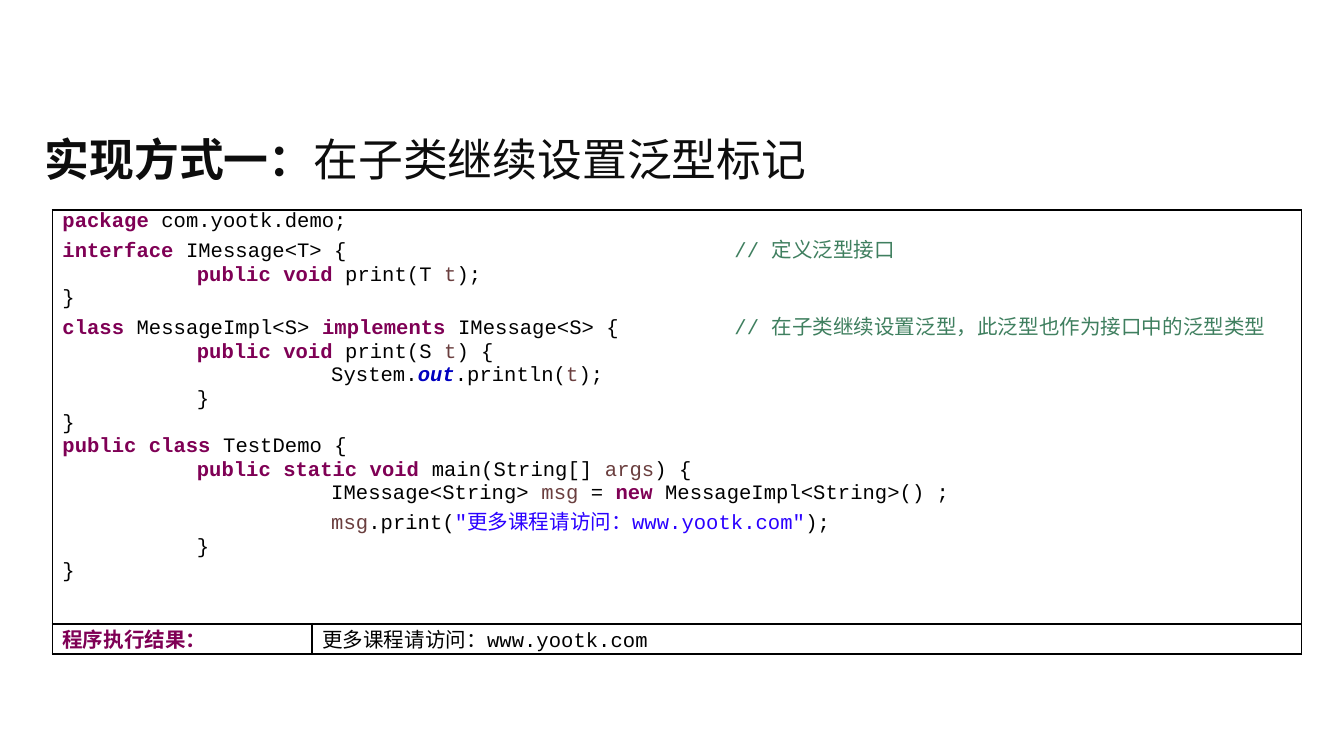
"""Builds a slide on keeping the generic marker in a Java subclass."""
from lxml import etree
from pptx import Presentation
from pptx.dml.color import RGBColor
from pptx.enum import text
from pptx.oxml import ns
from pptx.util import Cm, Pt

COLORS = {"title": "0D0D0D", "plain": "000000", "keyword": "7F0055",
          "comment": "3F7F5F", "variable": "6A3E3E", "static": "0000C0",
          "string": "2A00FF", "border": "000000"}
CJK = "Noto Sans CJK SC"
MONO = "Courier New"
TAB = 2.54

CODE = [
    [("keyword", "package"), ("plain", " com.yootk.demo;")],
    [("keyword", "interface"), ("plain", " IMessage<T> { \t\t\t"),
     ("comment", "// 定义泛型接口")],
    [("plain", "\t"), ("keyword", "public void"), ("plain", " print(T "),
     ("variable", "t"), ("plain", ");")],
    [("plain", "}")],
    [("keyword", "class"), ("plain", " MessageImpl<S> "),
     ("keyword", "implements"), ("plain", " IMessage<S> {\t"),
     ("comment", "// 在子类继续设置泛型，此泛型也作为接口中的泛型类型")],
    [("plain", "\t"), ("keyword", "public void"), ("plain", " print(S "),
     ("variable", "t"), ("plain", ") {")],
    [("plain", "\t\tSystem."), ("static", "out"), ("plain", ".println("),
     ("variable", "t"), ("plain", ");")],
    [("plain", "\t}")],
    [("plain", "}")],
    [("keyword", "public class"), ("plain", " TestDemo {")],
    [("plain", "\t"), ("keyword", "public static void"),
     ("plain", " main(String[] "), ("variable", "args"), ("plain", ") {")],
    [("plain", "\t\tIMessage<String> "), ("variable", "msg"), ("plain", " = "),
     ("keyword", "new"), ("plain", " MessageImpl<String>() ;")],
    [("plain", "\t\t"), ("variable", "msg"), ("plain", ".print("),
     ("string", "\"更多课程请访问：www.yootk.com\""), ("plain", ");")],
    [("plain", "\t}")],
    [("plain", "}")],
]
RESULT_LABEL = [[("keyword", "程序执行结果：")]]
RESULT = [[("plain", "更多课程请访问：www.yootk.com")]]


class Deck:
    """Holds the style and the current slide."""

    def __init__(self, prs):
        self.s = prs.slides.add_slide(prs.slide_layouts[5])

    def run(self, p, words, color, font, size, bold=False, italic=False):
        """Adds one formatted run."""
        r = p.add_run()
        r.text = words
        f = r.font
        f.name, f.size, f.bold, f.italic = font, Pt(size), bold, italic
        f.color.rgb = RGBColor.from_string(COLORS[color])
        ea = etree.SubElement(r._r.get_or_add_rPr(), ns.qn("a:ea"))
        ea.set("typeface", CJK)

    def title(self, box, strong, rest):
        """Fills the title placeholder."""
        sp = self.s.shapes.title
        sp.left, sp.top, sp.width, sp.height = map(Cm, box)
        tf = sp.text_frame
        tf.vertical_anchor = text.MSO_ANCHOR.MIDDLE
        p = tf.paragraphs[0]
        p.alignment = text.PP_ALIGN.LEFT
        self.run(p, strong, "title", CJK, 24, bold=True)
        self.run(p, rest, "title", CJK, 24)

    def borders(self, cell):
        """Draws all four sides of a cell."""
        tc_pr = cell._tc.get_or_add_tcPr()
        for i, side in enumerate(("lnL", "lnR", "lnT", "lnB")):
            ln = etree.Element(ns.qn(f"a:{side}"), w=str(Pt(1)))
            fill = etree.SubElement(ln, ns.qn("a:solidFill"))
            etree.SubElement(fill, ns.qn("a:srgbClr"), val=COLORS["border"])
            tc_pr.insert(i, ln)

    def tabs(self, p):
        """Sets evenly spaced tab stops."""
        stops = etree.SubElement(p._p.get_or_add_pPr(), ns.qn("a:tabLst"))
        for n in range(1, 6):
            etree.SubElement(stops, ns.qn("a:tab"), pos=str(Cm(n * TAB)), algn="l")

    def cell(self, cell, lines):
        """Writes lines of coloured tokens into a cell."""
        cell.margin_left = cell.margin_right = Cm(0.19)
        cell.margin_top = cell.margin_bottom = 0
        tf = cell.text_frame
        for i, line in enumerate(lines):
            p = tf.add_paragraph() if i else tf.paragraphs[0]
            if any("\t" in words for _, words in line):
                self.tabs(p)
            for kind, words in line:
                self.run(p, words, kind, MONO, 11,
                         bold=kind in ("keyword", "static"),
                         italic=kind == "static")

    def table(self, left, top, widths, heights):
        """Adds a plain bordered table."""
        tbl = self.s.shapes.add_table(
            len(heights), len(widths), Cm(left), Cm(top),
            Cm(sum(widths)), Cm(sum(heights))).table
        tbl.first_row = tbl.horz_banding = False
        for col, width in zip(tbl.columns, widths):
            col.width = Cm(width)
        for row, height in zip(tbl.rows, heights):
            row.height = Cm(height)
        for cell in tbl.iter_cells():
            cell.fill.background()
            self.borders(cell)
        return tbl


def main():
    prs = Presentation()
    prs.slide_width, prs.slide_height = Cm(25.4), Cm(14.29)
    deck = Deck(prs)
    deck.title((0.59, 2.18, 24.2, 1.63), "实现方式一：", "在子类继续设置泛型标记")
    tbl = deck.table(0.99, 3.97, (4.91, 18.7), (7.82, 0.51))
    tbl.cell(0, 0).merge(tbl.cell(0, 1))
    deck.cell(tbl.cell(0, 0), CODE)
    deck.cell(tbl.cell(1, 0), RESULT_LABEL)
    deck.cell(tbl.cell(1, 1), RESULT)
    prs.save("out.pptx")


if __name__ == "__main__":
    main()
